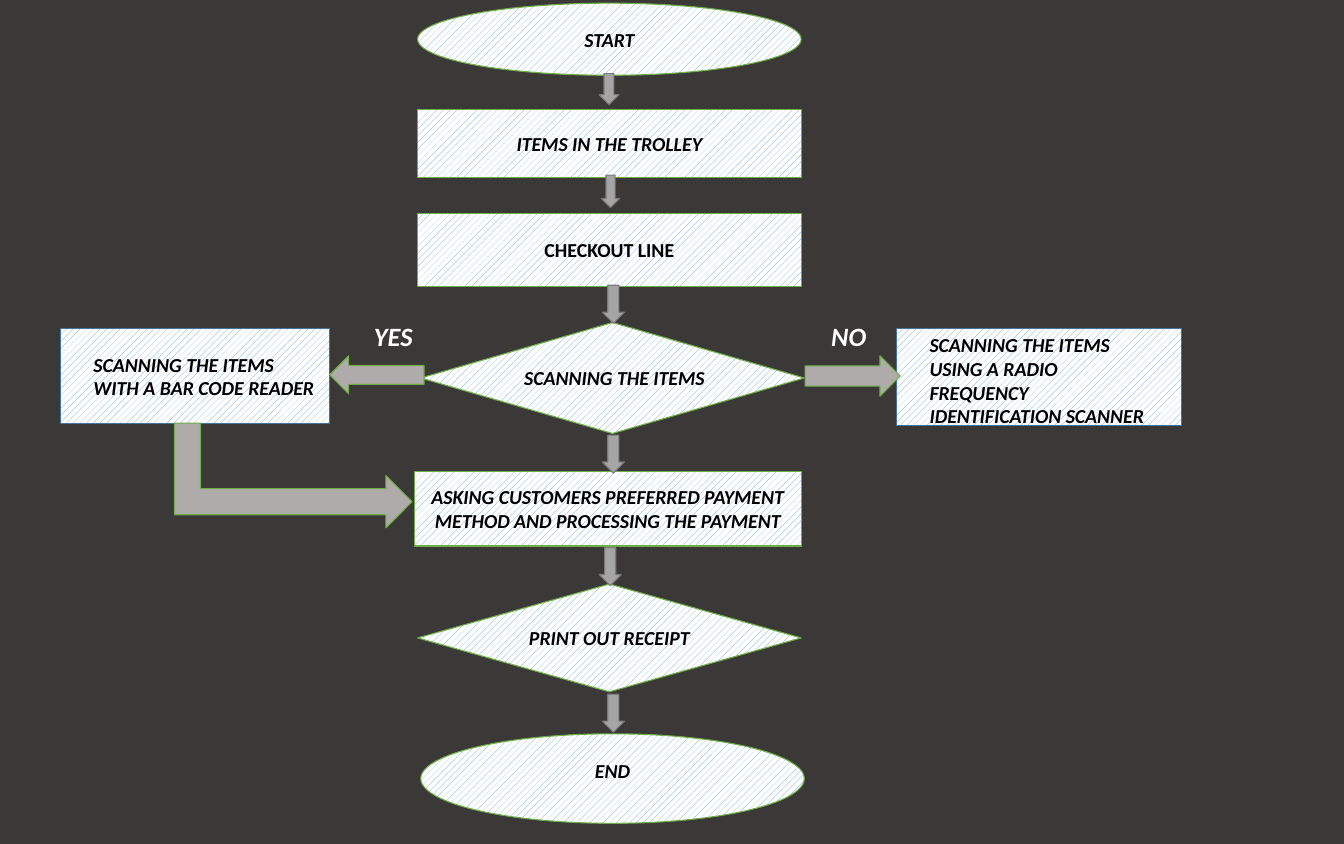
import pptx
import pptx.dml.color
import pptx.enum.dml
import pptx.enum.shapes
import pptx.enum.text
import pptx.util

Inches = pptx.util.Inches
RGBColor = pptx.dml.color.RGBColor
Shape = pptx.enum.shapes.MSO_SHAPE
Align = pptx.enum.text.PP_ALIGN
Anchor = pptx.enum.text.MSO_ANCHOR

BACKGROUND = RGBColor(0x3B, 0x38, 0x38)
BLACK = RGBColor(0, 0, 0)
WHITE = RGBColor(0xFF, 0xFF, 0xFF)
HATCH = RGBColor(0x5B, 0x9B, 0xD5)
BLUE = RGBColor(0x43, 0x73, 0x9E)
GREEN = RGBColor(0x70, 0xAD, 0x47)
DOWN_FILL = RGBColor(0xA5, 0xA5, 0xA5)
DOWN_LINE = RGBColor(0x7A, 0x7A, 0x7A)
BRANCH_FILL = RGBColor(0xAF, 0xAB, 0xAB)

# Main flow: shape, text, left, top, width, height, italic, margins (left, top, right, bottom)
PLAIN = (0.1, 0.05, 0.1, 0.05)
STEPS = [
    (Shape.OVAL, "START", 5.27, 0.04, 4.84, 0.91, True, PLAIN),
    (Shape.RECTANGLE, "ITEMS IN THE TROLLEY", 5.27, 1.38, 4.84, 0.86, True, PLAIN),
    (Shape.RECTANGLE, "CHECKOUT LINE", 5.27, 2.69, 4.84, 0.92, False, PLAIN),
    (Shape.DIAMOND, "SCANNING THE ITEMS", 5.31, 4.07, 4.84, 1.4, True, (0.05, 0.05, 0, 0.05)),
    (Shape.RECTANGLE, "ASKING CUSTOMERS PREFERRED PAYMENT METHOD AND PROCESSING THE PAYMENT",
     5.23, 5.95, 4.88, 0.94, True, PLAIN),
    (Shape.DIAMOND, "PRINT OUT RECEIPT", 5.27, 7.37, 4.84, 1.36, True, PLAIN),
    (Shape.OVAL, "END", 5.31, 9.26, 4.84, 1.13, True, (0.1, 0.05, 0.1, 0.25)),
]
# Side branches: text, left, top, width, height, anchor, margins
BRANCHES = [
    ("SCANNING THE ITEMS WITH A BAR CODE READER",
     0.76, 4.15, 3.4, 1.19, Anchor.MIDDLE, (0.42, 0.05, 0.1, 0.05)),
    ("SCANNING THE ITEMS USING A RADIO FREQUENCY IDENTIFICATION SCANNER",
     11.31, 4.15, 3.6, 1.22, Anchor.TOP, (0.42, 0.05, 0.42, 0)),
]
# Arrows between steps: left, top, width, height
DOWN_ARROWS = [
    (7.56, 0.93, 0.25, 0.39), (7.59, 2.21, 0.23, 0.41), (7.6, 3.6, 0.28, 0.48),
    (7.6, 5.49, 0.28, 0.48), (7.56, 6.91, 0.28, 0.48), (7.6, 8.76, 0.28, 0.48),
]
# Branch arrows: shape, left, top, width, height, rotation
BRANCH_ARROWS = [
    (Shape.LEFT_ARROW, 4.16, 4.49, 1.19, 0.48, 0),
    (Shape.RIGHT_ARROW, 10.16, 4.49, 1.2, 0.51, 0),
    (Shape.BENT_UP_ARROW, 3.04, 4.5, 1.32, 3, 90),
]
ANSWERS = [("YES", 4.62), ("NO", 10.39)]

deck = pptx.Presentation()
deck.slide_width, deck.slide_height = Inches(16.96), Inches(10.65)
page = deck.slides.add_slide(deck.slide_layouts[6])
page.background.fill.solid()
page.background.fill.fore_color.rgb = BACKGROUND


def add_outlined(kind, place, line):
    shape = page.shapes.add_shape(kind, *map(Inches, place))
    shape.shadow.inherit = False
    shape.line.color.rgb = line
    shape.line.width = pptx.util.Pt(1)
    return shape


def write(box, text, size, color, align, anchor, margins, italic=True):
    frame = box.text_frame
    frame.word_wrap = True
    frame.vertical_anchor = anchor
    (frame.margin_left, frame.margin_top,
     frame.margin_right, frame.margin_bottom) = map(Inches, margins)
    frame.text = text
    para = frame.paragraphs[0]
    para.alignment = align
    font = para.runs[0].font
    font.name, font.size = "Calibri", pptx.util.Pt(size)
    font.bold, font.italic = True, italic
    font.color.rgb = color


def add_step(kind, place, line, text, align, anchor, margins, italic=True):
    shape = add_outlined(kind, place, line)
    shape.fill.patterned()
    shape.fill.pattern = pptx.enum.dml.MSO_PATTERN.DASHED_UPWARD_DIAGONAL
    shape.fill.fore_color.rgb = HATCH
    shape.fill.back_color.rgb = WHITE
    write(shape, text, 18, BLACK, align, anchor, margins, italic)


def add_arrow(kind, place, fill, line, rotation=0):
    arrow = add_outlined(kind, place, line)
    arrow.fill.solid()
    arrow.fill.fore_color.rgb = fill
    arrow.rotation = rotation


# Steps and branches
for kind, text, *place, italic, margins in STEPS:
    add_step(kind, place, GREEN, text, Align.CENTER, Anchor.MIDDLE, margins, italic)
for text, *place, anchor, margins in BRANCHES:
    add_step(Shape.RECTANGLE, place, BLUE, text, Align.LEFT, anchor, margins)

# Arrows
for place in DOWN_ARROWS:
    add_arrow(Shape.DOWN_ARROW, place, DOWN_FILL, DOWN_LINE)
for kind, *place, rotation in BRANCH_ARROWS:
    add_arrow(kind, place, BRANCH_FILL, GREEN, rotation)

# Answers
for text, left in ANSWERS:
    box = page.shapes.add_textbox(*map(Inches, (left, 3.99, 0.69, 0.5)))
    write(box, text, 24, WHITE, Align.LEFT, Anchor.TOP, PLAIN)

deck.save("out.pptx")
